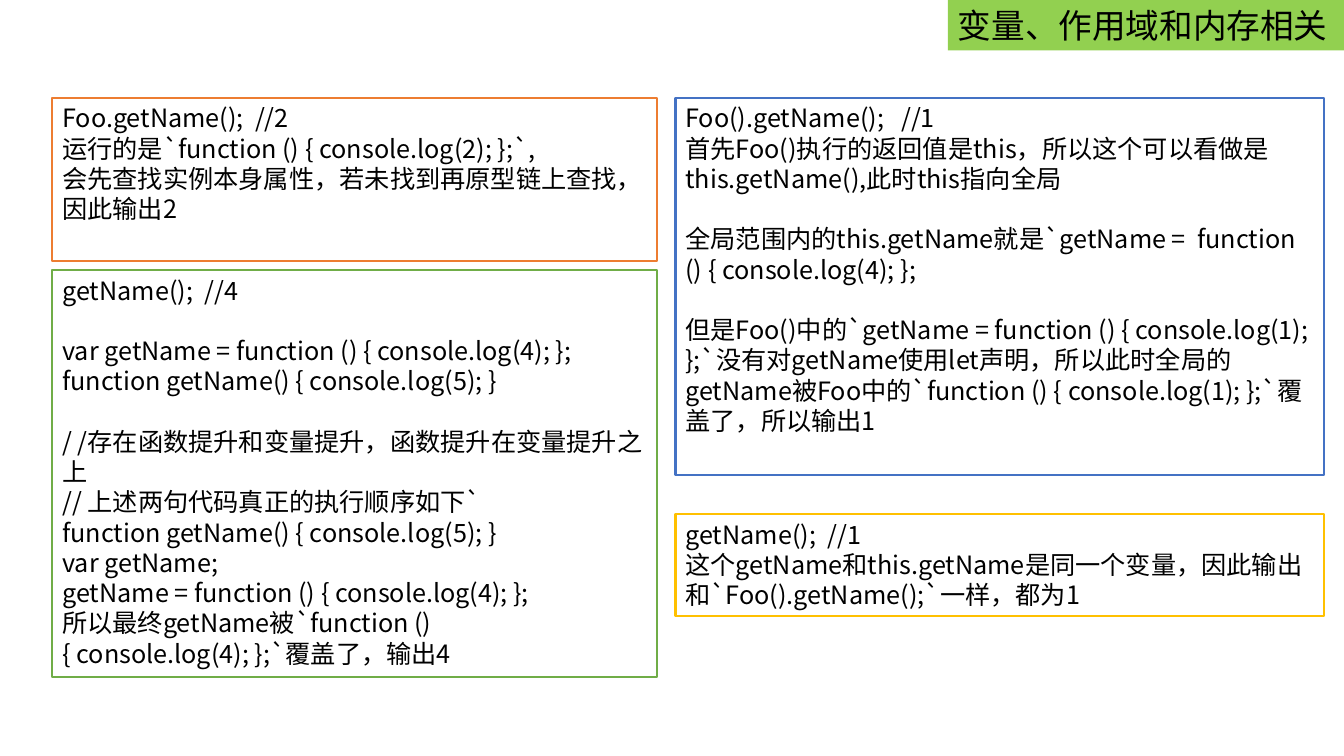
from lxml import etree
from pptx import Presentation
from pptx.dml.color import RGBColor
from pptx.enum import shapes, text
from pptx.oxml.ns import qn
from pptx.util import Inches, Pt

FONT = "Noto Sans CJK SC"
BLACK = RGBColor(0x00, 0x00, 0x00)
WHITE = RGBColor(0xFF, 0xFF, 0xFF)
ORANGE = RGBColor(0xED, 0x7D, 0x31)
BLUE = RGBColor(0x44, 0x72, 0xC4)
GREEN = RGBColor(0x70, 0xAD, 0x47)
GOLD = RGBColor(0xFF, 0xC0, 0x00)
LIME = RGBColor(0x92, 0xD0, 0x50)
LINE_PITCH = Pt(21.6)
LEFT_COLUMN = (0.52, 6)
RIGHT_COLUMN = (6.7, 6.43)


def fill_text(shape, sections, size):
    """Write sections of lines, leaving one line of space between sections."""
    frame = shape.text_frame
    frame.word_wrap = True
    frame.auto_size = text.MSO_AUTO_SIZE.NONE
    frame.vertical_anchor = text.MSO_ANCHOR.TOP
    frame.text = "\n".join(line for section in sections for line in section)
    paragraphs = iter(frame.paragraphs)
    for section_index, section in enumerate(sections):
        for line_index in range(len(section)):
            para = next(paragraphs)
            para.alignment = text.PP_ALIGN.LEFT
            para.line_spacing = 1.0
            starts_section = section_index > 0 and line_index == 0
            para.space_before = LINE_PITCH if starts_section else Pt(0)
            para.font.size = Pt(size)
            para.font.name = FONT
            para.font.color.rgb = BLACK
            latin = para.font._element.find(qn("a:latin"))
            east_asian = etree.Element(qn("a:ea"), typeface=FONT)
            latin.addnext(east_asian)


deck = Presentation()
deck.slide_width = Inches(13.33)
deck.slide_height = Inches(7.5)
page = deck.slides.add_slide(deck.slide_layouts[5])

title = page.shapes.title
title.left, title.top = Inches(9.4), Inches(0)
title.width, title.height = Inches(3.95), Inches(0.5)
title.fill.solid()
title.fill.fore_color.rgb = LIME
fill_text(title, [["变量、作用域和内存相关"]], 24)

# Column, top, height, outline, sections of lines
notes = [
    (LEFT_COLUMN, 0.97, 1.62, ORANGE, [[
        "Foo.getName();  //2",
        "运行的是`function () { console.log(2); };`,",
        "会先查找实例本身属性，若未找到再原型链上查找，因此输出2",
    ]]),
    (RIGHT_COLUMN, 0.97, 3.74, BLUE, [
        ["Foo().getName();   //1",
         "首先Foo()执行的返回值是this，所以这个可以看做是this.getName(),此时this指向全局"],
        ["全局范围内的this.getName就是`getName =  function () { console.log(4); };"],
        ["但是Foo()中的`getName = function () { console.log(1); };`没有对getName使用let声明，"
         "所以此时全局的getName被Foo中的`function () { console.log(1); };`覆盖了，所以输出1"],
    ]),
    (LEFT_COLUMN, 2.68, 4.04, GREEN, [
        ["getName();  //4"],
        ["var getName = function () { console.log(4); };",
         "function getName() { console.log(5); }"],
        ["/ /存在函数提升和变量提升，函数提升在变量提升之上",
         "// 上述两句代码真正的执行顺序如下`",
         "function getName() { console.log(5); }",
         "var getName;",
         "getName = function () { console.log(4); };",
         "所以最终getName被`function () { console.log(4); };`覆盖了，输出4"],
    ]),
    (RIGHT_COLUMN, 5.1, 1.01, GOLD, [[
        "getName();  //1",
        "这个getName和this.getName是同一个变量，因此输出和`Foo().getName();`一样，都为1",
    ]]),
]

for (left, width), top, height, outline, sections in notes:
    box = page.shapes.add_shape(shapes.MSO_SHAPE.RECTANGLE, Inches(left), Inches(top),
                                Inches(width), Inches(height))
    box.shadow.inherit = False
    box.fill.solid()
    box.fill.fore_color.rgb = WHITE
    box.line.color.rgb = outline
    box.line.width = Pt(1.5)
    fill_text(box, sections, 18)

deck.save("out.pptx")
